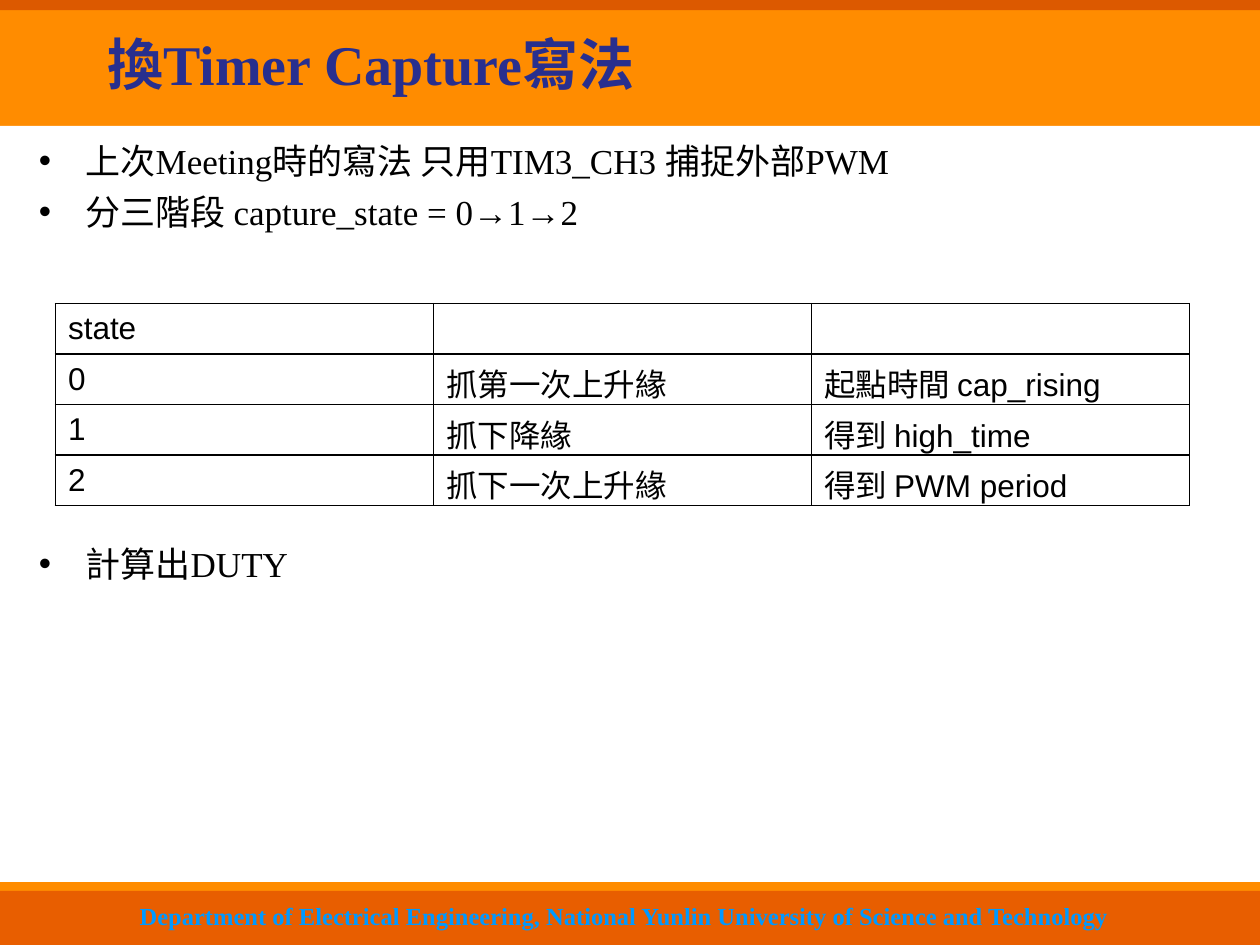
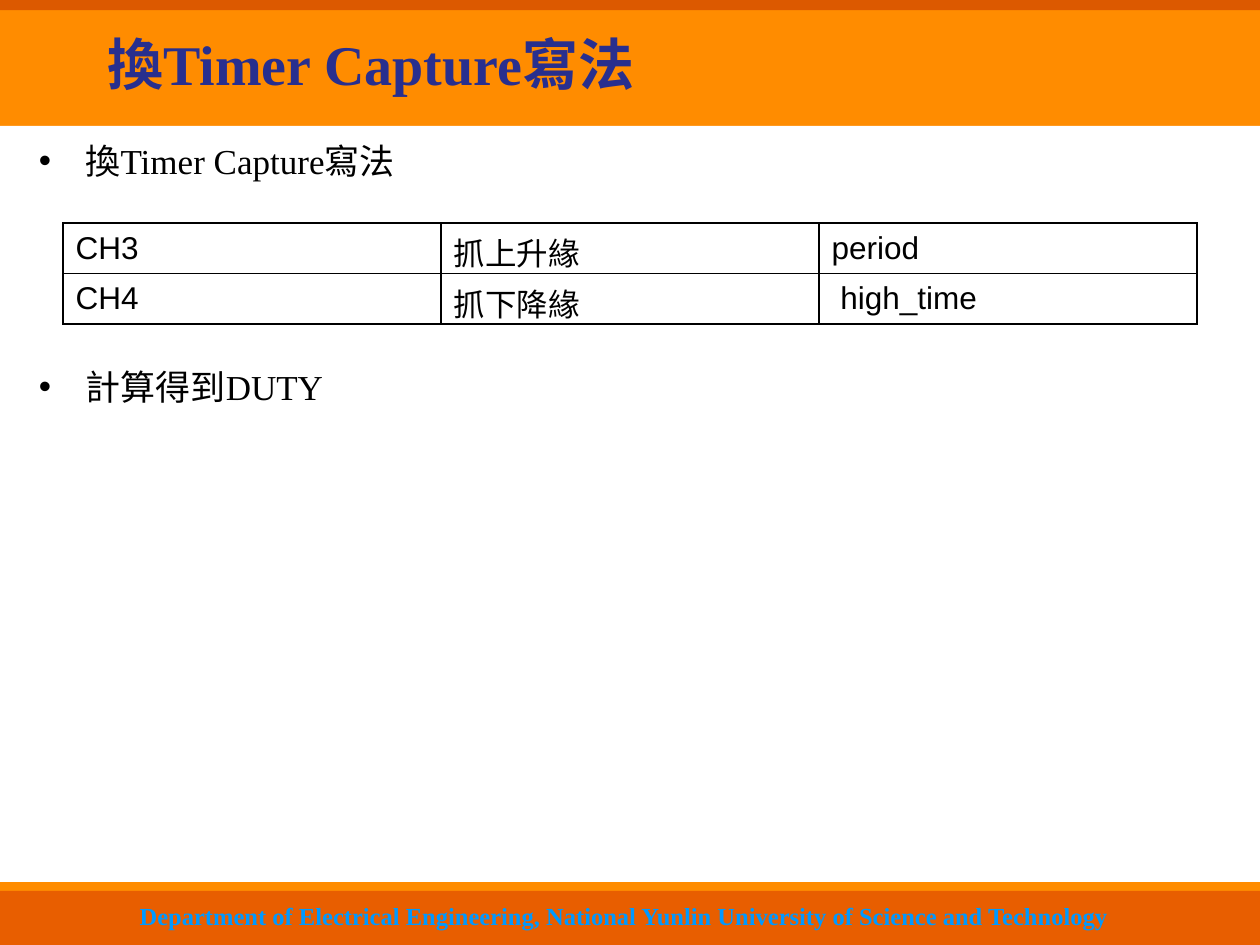
from dataclasses import dataclass

from lxml import etree
from pptx import Presentation
from pptx import util as u
from pptx.dml.color import RGBColor
from pptx.enum import shapes, text
from pptx.oxml import ns


@dataclass(frozen=True)
class Theme:
    orange: str = "FF8C00"
    top_edge: str = "DC5900"
    footer_band: str = "E85E00"
    footer_text: str = "0099FF"
    title_text: str = "282F8E"
    ink: str = "000000"
    paper: str = "FFFFFF"
    serif: str = "Times New Roman"
    sans: str = "Arial"
    title_size: float = 32
    bullet_size: float = 20
    table_size: float = 18
    footer_size: float = 14
    bullet_gap: float = 4.8


THEME = Theme()
WIDTH, HEIGHT = 10, 7.5
ROW_HEIGHT = 0.4
TITLE = "換Timer Capture寫法"
FOOTER = "Department of Electrical Engineering, National Yunlin University of Science and Technology"


def inches(box):
    return [u.Inches(length) for length in box]


def style(paragraph, size, color, font, bold=False):
    for run in paragraph.runs:
        run.font.size = u.Pt(size)
        run.font.name = font
        run.font.bold = bold
        run.font.color.rgb = RGBColor.from_string(color)


def add_xml(parent, tag, **attributes):
    return etree.SubElement(parent, ns.qn(tag), attributes)


def add_band(slide, box, color):
    band = slide.shapes.add_shape(shapes.MSO_SHAPE.RECTANGLE, *inches(box))
    band.shadow.inherit = False
    band.fill.solid()
    band.fill.fore_color.rgb = RGBColor.from_string(color)
    band.line.fill.background()


def add_footer(slide, box):
    frame = slide.shapes.add_textbox(*inches(box)).text_frame
    frame.word_wrap = True
    frame.vertical_anchor = text.MSO_ANCHOR.MIDDLE
    frame.text = FOOTER
    line = frame.paragraphs[0]
    line.alignment = text.PP_ALIGN.CENTER
    style(line, THEME.footer_size, THEME.footer_text, THEME.serif, bold=True)
    # Soft drop shadow behind the letters
    effects = etree.Element(ns.qn("a:effectLst"))
    shadow = add_xml(effects, "a:outerShdw", dist="25400", dir="2700000")
    add_xml(shadow, "a:srgbClr", val="C0C0C0")
    line.runs[0].font._element.find(ns.qn("a:solidFill")).addnext(effects)


def add_title(slide, box):
    title = slide.shapes.title
    title.left, title.top, title.width, title.height = inches(box)
    frame = title.text_frame
    frame.text = TITLE
    frame.vertical_anchor = text.MSO_ANCHOR.MIDDLE
    frame.paragraphs[0].alignment = text.PP_ALIGN.LEFT
    style(frame.paragraphs[0], THEME.title_size, THEME.title_text, THEME.serif, bold=True)
    # Bring the title in front of the bands
    title.element.getparent().append(title.element)


def add_base_slide(deck):
    slide = deck.slides.add_slide(deck.slide_layouts[5])
    add_band(slide, (0, 0, WIDTH, HEIGHT), THEME.orange)
    add_band(slide, (0, 0, WIDTH, 0.08), THEME.top_edge)
    add_band(slide, (0, 1, WIDTH, 6), THEME.paper)
    add_band(slide, (0, 7.07, WIDTH, HEIGHT - 7.07), THEME.footer_band)
    add_footer(slide, (0.9, 7.1, 8.11, 0.33))
    add_title(slide, (0.75, 0, 8.19, 1))
    return slide


def add_bullets(slide, top, lines):
    box = (0.2, top, 9.61, ROW_HEIGHT * len(lines) + 0.1)
    frame = slide.shapes.add_textbox(*inches(box)).text_frame
    frame.word_wrap = True
    frame.text = "\n".join(lines)
    for index, paragraph in enumerate(frame.paragraphs):
        properties = paragraph._p.get_or_add_pPr()
        properties.set("marL", str(u.Inches(0.38)))
        properties.set("indent", str(-u.Inches(0.37)))
        add_xml(properties, "a:buFont", typeface=THEME.sans)
        add_xml(properties, "a:buChar", char="•")
        if index:
            paragraph.space_before = u.Pt(THEME.bullet_gap)
        style(paragraph, THEME.bullet_size, THEME.ink, THEME.serif)


def add_cell_borders(cell):
    properties = cell._tc.get_or_add_tcPr()
    for position, side in enumerate("LRTB"):
        border = etree.Element(ns.qn(f"a:ln{side}"), w=str(u.Pt(1)))
        fill = add_xml(border, "a:solidFill")
        add_xml(fill, "a:srgbClr", val=THEME.ink)
        properties.insert(position, border)


def add_state_table(slide, left, top, rows):
    columns = len(rows[0])
    box = (left, top, 3 * columns, ROW_HEIGHT * len(rows))
    table = slide.shapes.add_table(len(rows), columns, *inches(box)).table
    table.first_row = table.horz_banding = False
    for r, row in enumerate(rows):
        for c, words in enumerate(row):
            cell = table.cell(r, c)
            cell.text = words
            cell.vertical_anchor = text.MSO_ANCHOR.MIDDLE
            cell.fill.background()
            add_cell_borders(cell)
            style(cell.text_frame.paragraphs[0], THEME.table_size, THEME.ink, THEME.sans)
    return table


def build_single_channel(deck):
    slide = add_base_slide(deck)
    add_bullets(slide, 1.06, [
        "上次Meeting時的寫法 只用TIM3_CH3 捕捉外部PWM",
        "分三階段 capture_state = 0→1→2",
    ])
    add_state_table(slide, 0.44, 2.41, [
        ("state", "", ""),
        ("0", "抓第一次上升緣", "起點時間 cap_rising"),
        ("1", "抓下降緣", "得到 high_time"),
        ("2", "抓下一次上升緣", "得到 PWM period"),
    ])
    add_bullets(slide, 4.26, ["計算出DUTY"])


def build_two_channels(deck):
    slide = add_base_slide(deck)
    add_bullets(slide, 1.06, [TITLE])
    channels = add_state_table(slide, 0.5, 1.77, [
        ("CH3", "抓上升緣", "period"),
        ("CH4", "抓下降緣", "high_time"),
    ])
    channels.cell(1, 2).margin_left = u.Inches(0.17)
    add_bullets(slide, 2.85, ["計算得到DUTY"])


def main():
    deck = Presentation()
    deck.slide_width, deck.slide_height = inches((WIDTH, HEIGHT))
    build_single_channel(deck)
    build_two_channels(deck)
    deck.save("out.pptx")


if __name__ == "__main__":
    main()
